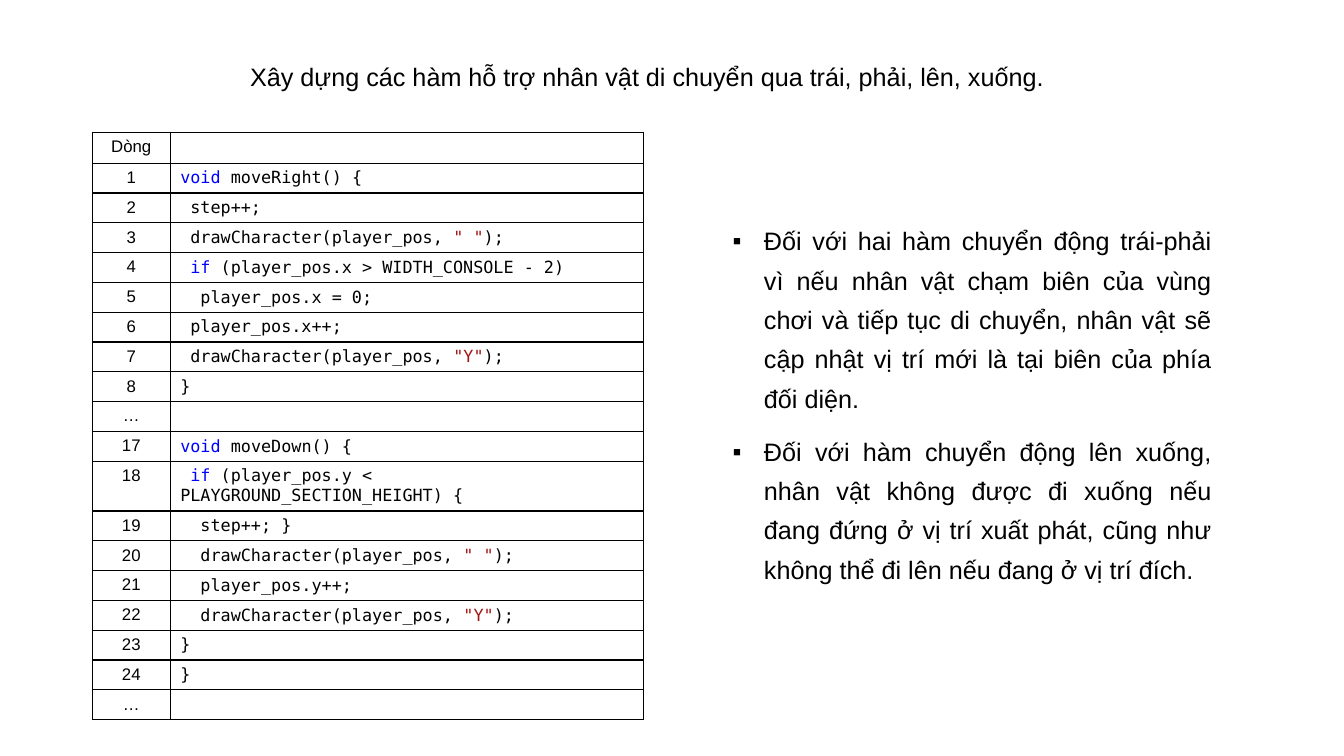
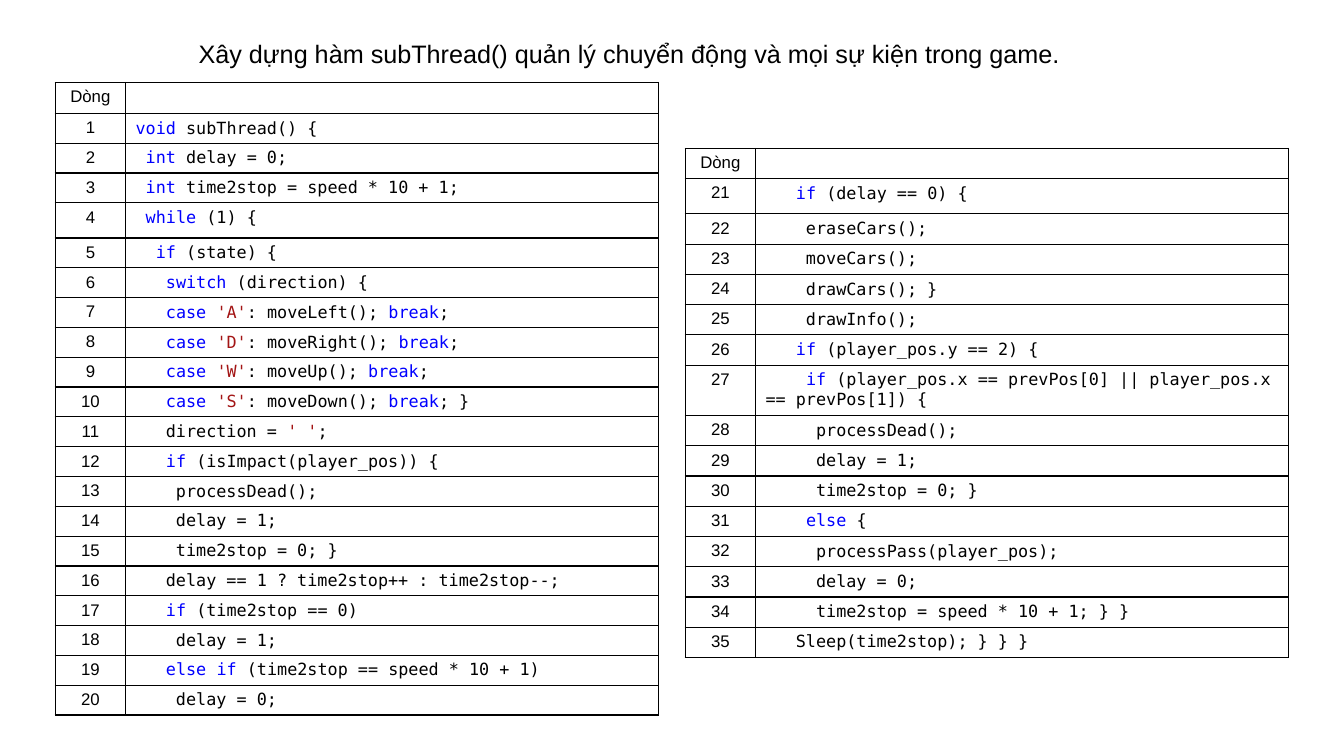
"""Build two slides that explain the movement and thread functions of a console game."""
from dataclasses import dataclass, field
from itertools import groupby

from lxml import etree
from pptx import Presentation
from pptx.dml.color import RGBColor
from pptx.enum.text import MSO_ANCHOR, PP_ALIGN
from pptx.oxml.ns import qn
from pptx.util import Pt

LEFT, CENTER, JUSTIFY = PP_ALIGN.LEFT, PP_ALIGN.CENTER, PP_ALIGN.JUSTIFY
TOP = MSO_ANCHOR.TOP
BLACK = RGBColor(0x00, 0x00, 0x00)
BLUE = RGBColor(0x00, 0x00, 0xFF)
RED = RGBColor(0xA3, 0x15, 0x15)
TEXT_FONT, CODE_FONT = "Arial", "DejaVu Sans Mono"
TEXT_SIZE, TABLE_SIZE = 18, 12
BORDER_WIDTH = 0.96
BULLET_INDENT = 22.3
KEYWORDS = {"void", "int", "if", "else", "while", "switch", "case", "break"}
TITLE_ONLY, TITLE_AND_BODY = 5, 1


@dataclass
class Box:
    left: float
    top: float
    width: float
    height: float


@dataclass
class CodeTable:
    left: float
    top: float
    widths: tuple[float, float]
    labels: list[str]
    code: list[str]
    header_height: float = 22
    row_height: float = 21.3
    tall_rows: dict[str, float] = field(default_factory=dict)


@dataclass
class Page:
    title: str
    title_box: Box
    tables: list[CodeTable]
    bullets: list[str] = field(default_factory=list)


BODY_BOX = Box(516.2, 151.2, 356.4, 297.4)


def numbers(first: int, last: int) -> list[str]:
    return [str(n) for n in range(first, last + 1)]


PAGES = [
    Page(
        "Xây dựng các hàm hỗ trợ nhân vật di chuyển qua trái, phải, lên, xuống.",
        Box(171.4, 40.3, 658, 28.8),
        [CodeTable(
            66, 94.6, (55.6, 338),
            numbers(1, 8) + ["…"] + numbers(17, 24) + ["…"],
            [
                "void moveRight() {",
                " step++;",
                ' drawCharacter(player_pos, " ");',
                " if (player_pos.x > WIDTH_CONSOLE - 2)",
                "  player_pos.x = 0;",
                " player_pos.x++;",
                ' drawCharacter(player_pos, "Y");',
                "}",
                "",
                "void moveDown() {",
                " if (player_pos.y < PLAYGROUND_SECTION_HEIGHT) {",
                "  step++; }",
                '  drawCharacter(player_pos, " ");',
                "  player_pos.y++;",
                '  drawCharacter(player_pos, "Y");',
                "}",
                "}",
                "",
            ],
            tall_rows={"18": 35.5},
        )],
        [
            "Đối với hai hàm chuyển động trái-phải vì nếu nhân vật chạm biên của vùng "
            "chơi và tiếp tục di chuyển, nhân vật sẽ cập nhật vị trí mới là tại biên "
            "của phía đối diện.",
            "Đối với hàm chuyển động lên xuống, nhân vật không được đi xuống nếu đang "
            "đứng ở vị trí xuất phát, cũng như không thể đi lên nếu đang ở vị trí đích.",
        ],
    ),
    Page(
        "Xây dựng hàm subThread() quản lý chuyển động và mọi sự kiện trong game.",
        Box(134.6, 23.8, 710, 28.8),
        [
            CodeTable(
                39.5, 59, (50.2, 380.7), numbers(1, 20),
                [
                    "void subThread() {",
                    " int delay = 0;",
                    " int time2stop = speed * 10 + 1;",
                    " while (1) {",
                    "  if (state) {",
                    "   switch (direction) {",
                    "   case 'A': moveLeft(); break;",
                    "   case 'D': moveRight(); break;",
                    "   case 'W': moveUp(); break;",
                    "   case 'S': moveDown(); break; }",
                    "   direction = ' ';",
                    "   if (isImpact(player_pos)) {",
                    "    processDead();",
                    "    delay = 1;",
                    "    time2stop = 0; }",
                    "   delay == 1 ? time2stop++ : time2stop--;",
                    "   if (time2stop == 0)",
                    "    delay = 1;",
                    "   else if (time2stop == speed * 10 + 1)",
                    "    delay = 0;",
                ],
                tall_rows={"4": 25.2},
            ),
            CodeTable(
                489.5, 106, (50.2, 380.7), numbers(21, 35),
                [
                    "   if (delay == 0) {",
                    "    eraseCars();",
                    "    moveCars();",
                    "    drawCars(); }",
                    "    drawInfo();",
                    "   if (player_pos.y == 2) {",
                    "    if (player_pos.x == prevPos[0] || player_pos.x == prevPos[1]) {",
                    "     processDead();",
                    "     delay = 1;",
                    "     time2stop = 0; }",
                    "    else {",
                    "     processPass(player_pos);",
                    "     delay = 0;",
                    "     time2stop = speed * 10 + 1; } }",
                    "   Sleep(time2stop); } } }",
                ],
                header_height=21.6, row_height=21.6,
                tall_rows={"21": 25.2, "27": 36},
            ),
        ],
    ),
]


def set_font(p, name: str, size: float, color: RGBColor = BLACK) -> None:
    p.font.name, p.font.size, p.font.bold = name, Pt(size), False
    p.font.color.rgb = color


def place(sp, box: Box) -> None:
    sp.left, sp.top = Pt(box.left), Pt(box.top)
    sp.width, sp.height = Pt(box.width), Pt(box.height)
    sp.text_frame.word_wrap = True
    sp.text_frame.vertical_anchor = TOP


def highlight(line: str) -> list[tuple[str, RGBColor]]:
    quote = "'" if "'" in line else '"'
    tokens = []
    for i, part in enumerate(line.split(quote)):
        if i % 2:
            tokens.append((quote + part + quote, RED))
            continue
        for _, chars in groupby(part, lambda c: c.isalnum() or c == "_"):
            word = "".join(chars)
            tokens.append((word, BLUE if word in KEYWORDS else BLACK))
    return [("".join(text for text, _ in group), color)
            for color, group in groupby(tokens, lambda token: token[1])]


def style_cell(cell) -> None:
    tc_pr = cell._tc.get_or_add_tcPr()
    for side in ("a:lnL", "a:lnR", "a:lnT", "a:lnB"):
        ln = etree.SubElement(tc_pr, qn(side), w=str(Pt(BORDER_WIDTH)))
        fill = etree.SubElement(ln, qn("a:solidFill"))
        etree.SubElement(fill, qn("a:srgbClr"), val=str(BLACK))
    cell.fill.background()


def fill_label(cell, label: str) -> None:
    style_cell(cell)
    p = cell.text_frame.paragraphs[0]
    p.text, p.alignment = label, CENTER
    set_font(p, TEXT_FONT, TABLE_SIZE)


def fill_code(cell, line: str) -> None:
    style_cell(cell)
    p = cell.text_frame.paragraphs[0]
    set_font(p, CODE_FONT, TABLE_SIZE)
    if not line:
        cell.margin_top = cell.margin_bottom = Pt(0)
    for text, color in highlight(line):
        r = p.add_run()
        r.text = text
        r.font.color.rgb = color


def add_code_table(s, spec: CodeTable) -> None:
    rows = list(zip(["Dòng"] + spec.labels, [""] + spec.code))
    heights = [spec.header_height] + [
        spec.tall_rows.get(label, spec.row_height) for label in spec.labels]
    table = s.shapes.add_table(
        len(rows), 2, Pt(spec.left), Pt(spec.top),
        Pt(sum(spec.widths)), Pt(sum(heights))).table
    table.first_row = table.horz_banding = False
    for column, width in zip(table.columns, spec.widths):
        column.width = Pt(width)
    for i, (label, line) in enumerate(rows):
        table.rows[i].height = Pt(heights[i])
        fill_label(table.cell(i, 0), label)
        fill_code(table.cell(i, 1), line)


def fill_bullets(sp, bullets: list[str]) -> None:
    place(sp, BODY_BOX)
    tf = sp.text_frame
    for i, text in enumerate(bullets):
        p = tf.add_paragraph() if i else tf.paragraphs[0]
        p.text, p.alignment = text, JUSTIFY
        p.line_spacing, p.space_before, p.space_after = 1.3, Pt(0), Pt(10)
        p_pr = p._p.get_or_add_pPr()
        p_pr.set("marL", str(Pt(BULLET_INDENT)))
        p_pr.set("indent", str(Pt(-BULLET_INDENT)))
        etree.SubElement(p_pr, qn("a:buChar"), char="▪")
        set_font(p, TEXT_FONT, TEXT_SIZE)


def add_page(prs, page: Page) -> None:
    layout = TITLE_AND_BODY if page.bullets else TITLE_ONLY
    s = prs.slides.add_slide(prs.slide_layouts[layout])
    place(s.shapes.title, page.title_box)
    p = s.shapes.title.text_frame.paragraphs[0]
    p.text, p.alignment = page.title, LEFT
    set_font(p, TEXT_FONT, TEXT_SIZE)
    if page.bullets:
        fill_bullets(s.placeholders[1], page.bullets)
    for spec in page.tables:
        add_code_table(s, spec)


def main() -> None:
    prs = Presentation()
    prs.slide_width, prs.slide_height = Pt(960), Pt(540)
    for page in PAGES:
        add_page(prs, page)
    prs.save("out.pptx")


if __name__ == "__main__":
    main()
